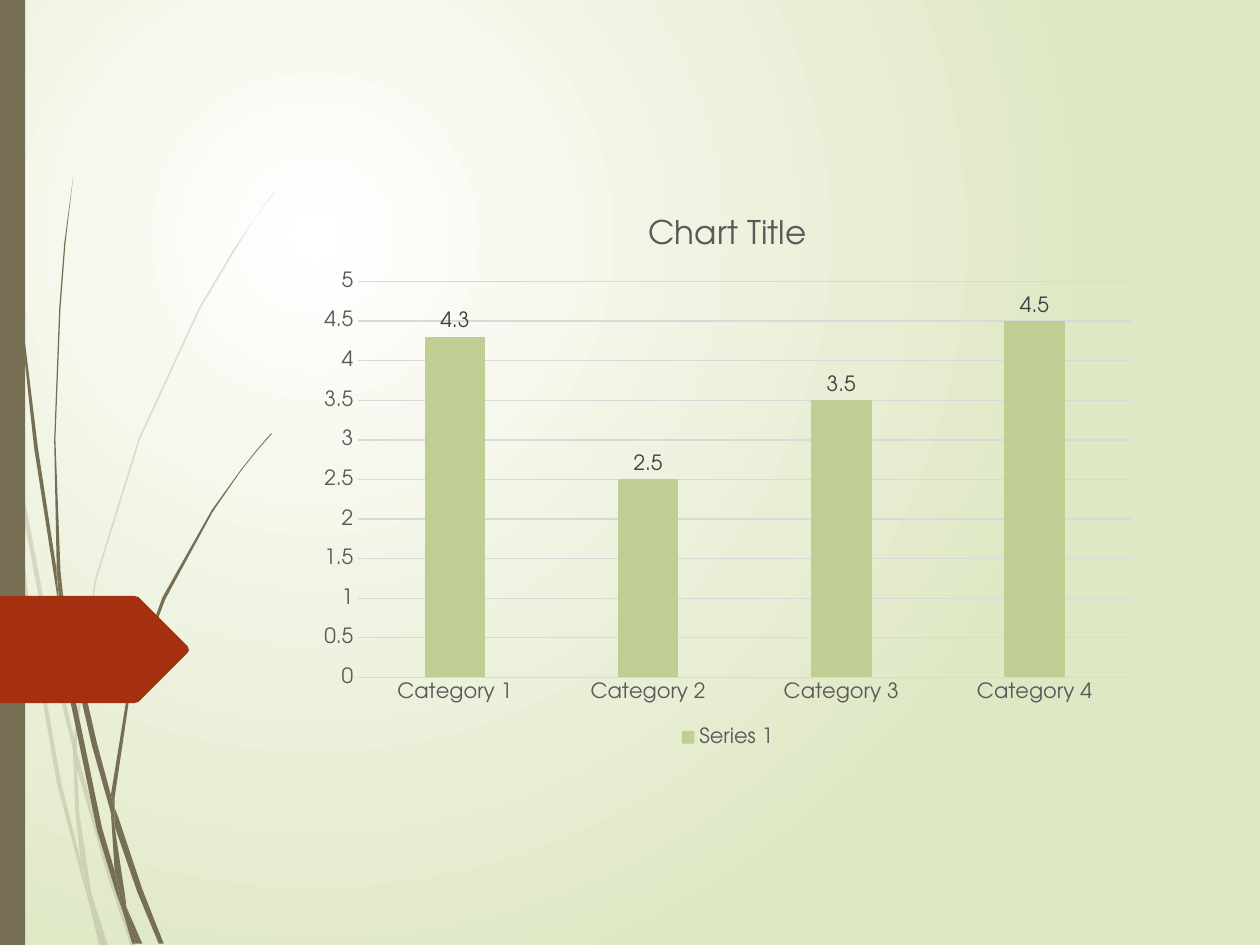
from lxml.etree import SubElement
from pptx import Presentation
from pptx.chart.data import CategoryChartData
from pptx.dml.color import RGBColor
from pptx.enum.chart import XL_CHART_TYPE as ChartType, XL_LABEL_POSITION as LabelPos
from pptx.enum.chart import XL_LEGEND_POSITION as LegendPos, XL_TICK_MARK as TickMark
from pptx.enum.shapes import MSO_SHAPE as Preset
from pptx.oxml.ns import qn
from pptx.util import Pt

PX = 9144
FACE = "TeX Gyre Adventor"
WHITE = RGBColor(0xFF, 0xFF, 0xFF)
PALE_GREEN = RGBColor(0xDF, 0xE8, 0xC4)
BAR_GREEN = RGBColor(0xBF, 0xCE, 0x92)
OLIVE = RGBColor(0x76, 0x6F, 0x54)
RUST = RGBColor(0xA5, 0x30, 0x10)
GREY = RGBColor(0x59, 0x59, 0x59)
DARK_GREY = RGBColor(0x40, 0x40, 0x40)
LIGHT_GREY = RGBColor(0xD9, 0xD9, 0xD9)

FAINT_GRASS = [
    [(8, 350), (6, 322), (0, 282), (0, 299), (7, 344)],
    [(40, 522), (59, 599), (59, 586), (43, 520), (10, 345), (12, 376)],
    [(64, 607), (61, 596), (61, 610), (85, 694), (104, 751), (108, 751), (88, 692)],
    [(83, 751), (86, 751), (73, 711)],
    [(64, 683), (48, 619), (22, 469), (12, 376), (8, 350), (19, 470), (45, 621),
     (64, 693), (70, 714), (69, 707)],
    [(58, 599), (60, 646), (64, 683), (67, 692), (73, 711), (72, 706), (63, 646),
     (61, 610), (61, 608)],
    [(61, 584), (76, 462), (111, 349), (159, 245), (187, 198), (201, 175), (217, 154),
     (217, 153), (201, 175), (186, 197), (158, 244), (110, 348), (75, 461), (59, 584),
     (59, 586), (61, 596)],
    [(70, 714), (79, 751), (82, 751)],
    [(61, 608), (61, 610), (61, 596), (59, 586), (58, 599)],
    [(67, 692), (65, 683), (69, 707), (70, 714), (82, 751), (83, 751), (73, 711)],
]
DARK_GRASS = [
    [(5, 110), (14, 233), (27, 355), (46, 477), (47, 481), (45, 457), (45, 453),
     (30, 355), (15, 232), (6, 109), (4, 48), (3, 0), (2, 0), (3, 48)],
    [(73, 592), (88, 645), (88, 633), (88, 631), (77, 590), (50, 472), (53, 505)],
    [(94, 649), (91, 641), (91, 656), (109, 708), (126, 749), (130, 749), (113, 706)],
    [(91, 691), (81, 657), (60, 556), (53, 505), (47, 477), (56, 557), (77, 659),
     (92, 708), (97, 722), (96, 717)],
    [(50, 472), (48, 453), (44, 349), (48, 245), (52, 193), (58, 141), (58, 141),
     (51, 193), (47, 245), (43, 349), (45, 449), (49, 472)],
    [(110, 749), (113, 749), (100, 719)],
    [(47, 477), (53, 505), (50, 472), (49, 472), (45, 449), (45, 453)],
    [(91, 633), (103, 552), (131, 476), (169, 406), (191, 374), (203, 359), (216, 344),
     (215, 344), (203, 358), (191, 373), (168, 405), (129, 474), (101, 551), (88, 631),
     (91, 641)],
    [(97, 722), (105, 749), (108, 749)],
    [(88, 645), (91, 691), (96, 706), (100, 719), (100, 716), (91, 656), (90, 651)],
    [(88, 645), (90, 651), (91, 656), (91, 641), (88, 631), (88, 633)],
    [(96, 706), (91, 691), (96, 717), (97, 722), (108, 749), (110, 749), (100, 719)],
]
ARROW = [(107, 558), (110, 557), (149, 518), (150, 516), (149, 513), (110, 474),
         (107, 473), (-3, 473), (-3, 558)]


def draw_outline(shapes, points, color):
    builder = shapes.build_freeform(*points[0], scale=PX)
    builder.add_line_segments(points[1:], close=True)
    outline = builder.convert_to_shape()
    outline.shadow.inherit = False
    outline.fill.solid()
    outline.fill.fore_color.rgb = color
    outline.line.fill.background()
    return outline


def style_font(font, size, color):
    font.name = FACE
    font.size = Pt(size)
    font.bold = False
    font.color.rgb = color


prs = Presentation()
prs.slide_width, prs.slide_height = 1000 * PX, 750 * PX
slide = prs.slides.add_slide(prs.slide_layouts[6])

backdrop = slide.background.fill
backdrop.gradient()
for stop, color in zip(backdrop.gradient_stops, (WHITE, PALE_GREEN)):
    stop.color.rgb = color
gradient = slide.element.find(".//" + qn("a:gradFill"))
gradient.remove(gradient.find(qn("a:lin")))
circle = SubElement(gradient, qn("a:path"), path="circle")
SubElement(circle, qn("a:fillToRect"), l="50000", t="50000", r="100000", b="100000")

for blades, opacity in ((FAINT_GRASS, 20), (DARK_GRASS, 100)):
    tuft = slide.shapes.add_group_shape()
    for points in blades:
        blade = draw_outline(tuft.shapes, points, OLIVE)
        if opacity < 100:
            tone = blade.element.spPr.find(".//" + qn("a:srgbClr"))
            SubElement(tone, qn("a:alpha"), val=str(opacity * 1000))

side_band = slide.shapes.add_shape(Preset.RECTANGLE, 0, 0, 20 * PX, 750 * PX)
side_band.shadow.inherit = False
side_band.fill.solid()
side_band.fill.fore_color.rgb = OLIVE
side_band.line.fill.background()
draw_outline(slide.shapes, ARROW, RUST)

data = CategoryChartData()
data.categories = [f"Category {n}" for n in range(1, 5)]
data.add_series("Series 1", (4.3, 2.5, 3.5, 4.5))
chart = slide.shapes.add_chart(
    ChartType.COLUMN_CLUSTERED, 244 * PX, 153 * PX, 667 * PX, 444 * PX, data).chart
style_font(chart.font, 12, GREY)

chart.has_title = True
chart.chart_title.include_in_layout = False
title = chart.chart_title.text_frame
title.text = "Chart Title"
style_font(title.paragraphs[0].runs[0].font, 18.6, GREY)

chart.has_legend = True
chart.legend.position = LegendPos.BOTTOM
chart.legend.include_in_layout = False
style_font(chart.legend.font, 12, GREY)

categories, values = chart.category_axis, chart.value_axis
for axis in (categories, values):
    axis.major_tick_mark = axis.minor_tick_mark = TickMark.NONE
    style_font(axis.tick_labels.font, 12, GREY)
values.minimum_scale, values.maximum_scale, values.major_unit = 0, 5, 0.5
values.has_major_gridlines = True
values.format.line.fill.background()
for line in (categories.format.line, values.major_gridlines.format.line):
    line.color.rgb = LIGHT_GREY
    line.width = Pt(0.75)

plot = chart.plots[0]
plot.vary_by_categories = False
plot.gap_width, plot.overlap = 219, -27
bars = plot.series[0]
bars.invert_if_negative = False
bars.format.fill.solid()
bars.format.fill.fore_color.rgb = BAR_GREEN
bars.data_labels.show_value = True
bars.data_labels.position = LabelPos.OUTSIDE_END
style_font(bars.data_labels.font, 12, DARK_GREY)

prs.save("out.pptx")
